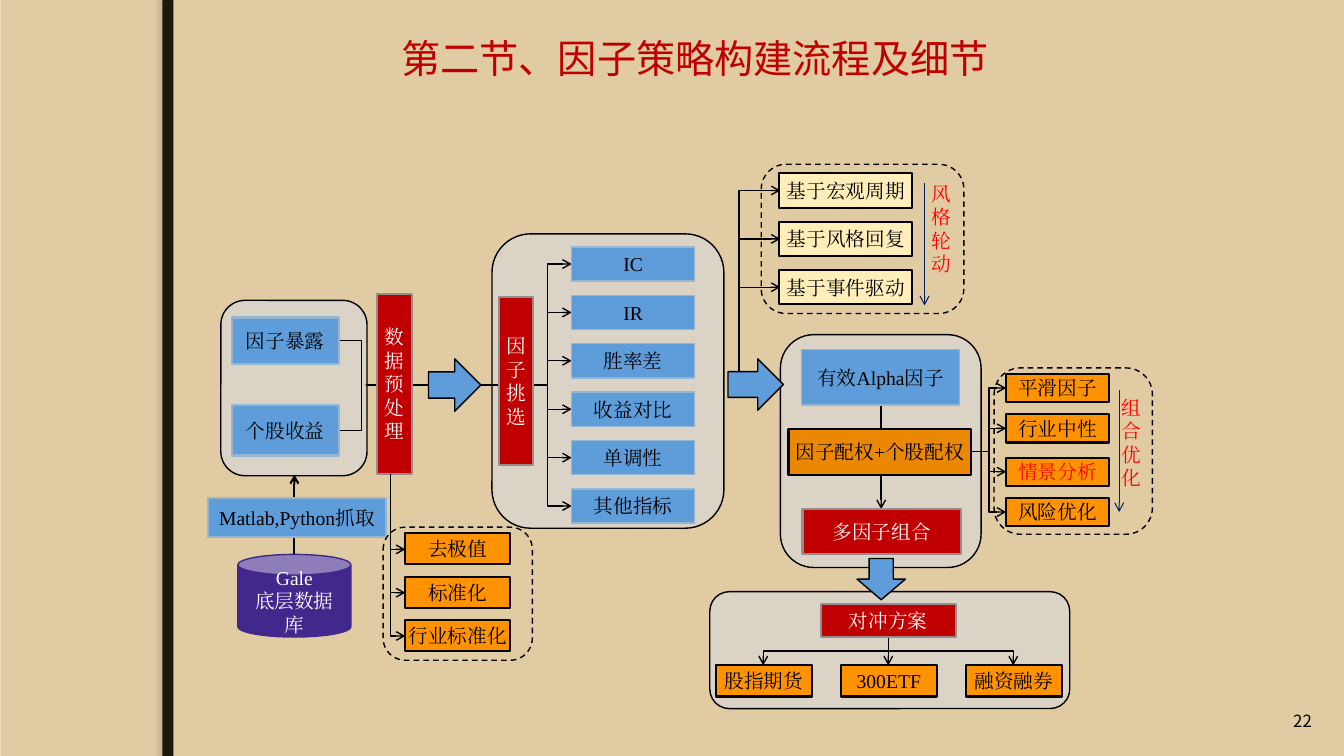
from lxml.etree import SubElement
from pptx import Presentation
from pptx.dml.color import RGBColor
from pptx.enum.dml import MSO_LINE
from pptx.enum.shapes import MSO_CONNECTOR, MSO_SHAPE
from pptx.enum.text import MSO_ANCHOR, MSO_AUTO_SIZE, PP_ALIGN
from pptx.oxml.ns import qn
from pptx.util import Pt

PX = 9144
SERIF, SANS = "Times New Roman", "Noto Sans CJK SC"
BLACK = RGBColor(0, 0, 0)
WHITE = RGBColor(255, 255, 255)
RED = RGBColor(255, 0, 0)
CRIMSON = RGBColor(0xC0, 0, 0)
NAVY = RGBColor(0, 0x20, 0x60)
BLUE = RGBColor(0x5E, 0x9C, 0xDA)
PALE_BLUE = RGBColor(0x94, 0xB6, 0xD2)
ORANGE = RGBColor(0xFF, 0x92, 0x01)
AMBER = RGBColor(0xEB, 0x88, 0x03)
CREAM = RGBColor(0xFF, 0xEE, 0xB9)
GREY = RGBColor(0xD9, 0xD9, 0xD9)
TAUPE = RGBColor(0x96, 0x8C, 0x8C)
PURPLE = RGBColor(0x42, 0x28, 0x8C)
SAND = RGBColor(0xE0, 0xCB, 0xA3)
PAPER = RGBColor(0xEB, 0xDD, 0xC3)
DARK = RGBColor(0x20, 0x19, 0x0B)

STEP = {"fill": BLUE, "line": PALE_BLUE, "width": 1.5}
METRIC = {"fill": BLUE, "line": PALE_BLUE}
STAGE = {"fill": CRIMSON, "line": TAUPE, "width": 1.5, "color": WHITE}
OPTION = {"fill": ORANGE, "width": 1.5}
STYLE = {"fill": CREAM, "width": 1.5}


def emu(*lengths):
    """Turn px lengths into EMU."""
    return [round(n * PX) for n in lengths]


def write(tf, text, size=14, color=BLACK, font=SERIF, align=PP_ALIGN.CENTER, inset=0,
          anchor=MSO_ANCHOR.MIDDLE):
    """Fill a text frame, one paragraph per line of text."""
    frame = {"word_wrap": True, "auto_size": MSO_AUTO_SIZE.NONE, "vertical_anchor": anchor}
    if inset is not None:
        frame.update({f"margin_{side}": inset for side in ("left", "right", "top", "bottom")})
    for name, value in frame.items():
        setattr(tf, name, value)
    for i, line in enumerate(text.split("\n")):
        p = tf.add_paragraph() if i else tf.paragraphs[0]
        p.alignment = align
        r = p.add_run()
        r.text = line
        for name, value in {"size": Pt(size), "name": font, "bold": False}.items():
            setattr(r.font, name, value)
        r.font.color.rgb = color
        SubElement(r.font._element, qn("a:ea"), typeface=font)


def shape(s, x, y, w, h, text="", kind=MSO_SHAPE.RECTANGLE, fill=None, line=BLACK, width=1,
          color=BLACK, inset=0):
    """Draw a preset shape, with text if any."""
    sp = s.shapes.add_shape(kind, *emu(x, y, w, h))
    sp.shadow.inherit = False
    if fill is None:
        sp.fill.background()
    else:
        sp.fill.solid()
        sp.fill.fore_color.rgb = fill
    if line is None:
        sp.line.fill.background()
    else:
        sp.line.color.rgb = line
        sp.line.width = Pt(width)
    if text:
        write(sp.text_frame, text, color=color, inset=inset)
    return sp


def panel(s, x, y, w, h):
    """Draw a translucent grey rounded panel."""
    sp = shape(s, x, y, w, h, kind=MSO_SHAPE.ROUNDED_RECTANGLE, fill=GREY)
    rgb = sp._element.spPr.find(qn("a:solidFill"))[0]
    SubElement(rgb, qn("a:alpha"), val="64000")


def dashed(s, x, y, w, h):
    """Draw a dashed rounded frame."""
    sp = shape(s, x, y, w, h, kind=MSO_SHAPE.ROUNDED_RECTANGLE)
    sp.line.dash_style = MSO_LINE.DASH


def label(s, x, y, w, h, text):
    """Place a narrow red label that wraps to one character a line."""
    tb = s.shapes.add_textbox(*emu(x, y, w, h))
    write(tb.text_frame, text, color=RED)


def link(s, x0, y0, x1, y1, bend=None, color=BLACK, width=1, head=True):
    """Draw a straight connector, or an elbow that turns at x = bend."""
    kind = MSO_CONNECTOR.STRAIGHT if bend is None else MSO_CONNECTOR.ELBOW
    c = s.shapes.add_connector(kind, *emu(x0, y0, x1, y1))
    c.line.color.rgb = color
    c.line.width = Pt(width)
    spPr = c._element.spPr
    if head:
        SubElement(c.line._get_or_add_ln(), qn("a:tailEnd"), type="arrow")
    SubElement(spPr, qn("a:effectLst"))
    if bend is not None:
        turn = round((bend - x0) / (x1 - x0) * 100000)
        avLst = spPr.find(qn("a:prstGeom")).get_or_add_avLst()
        SubElement(avLst, qn("a:gd"), name="adj1", fmla=f"val {turn}")
    return c


def drop(s, x0, y0, x1, y1):
    """Draw an elbow that leaves and arrives vertically."""
    cx, cy, dx, dy = (x0 + x1) / 2, (y0 + y1) / 2, (x1 - x0) / 2, (y1 - y0) / 2
    c = link(s, cx - dy, cy + dx, cx + dy, cy - dx, bend=cx)
    c._element.spPr.find(qn("a:xfrm")).set("rot", "5400000")


def backdrop(s, x, y, w, h):
    """Paint the sand ground and the dark vertical bar."""
    s.background.fill.solid()
    s.background.fill.fore_color.rgb = PAPER
    shape(s, x + 1, y, w, h, fill=SAND, line=None)
    bar = shape(s, x + 161, y, 11, h, fill=DARK, line=None)
    effects = bar._element.spPr.find(qn("a:effectLst"))
    shadow = SubElement(effects, qn("a:outerShdw"), blurRad="38100", dist="38100", dir="10800000")
    rgb = SubElement(shadow, qn("a:srgbClr"), val="766E60")
    SubElement(rgb, qn("a:alpha"), val="25000")


def heading(s, x, y, w, h):
    """Move and format the title placeholder."""
    sp = s.shapes.title
    for name, value in zip(("left", "top", "width", "height"), emu(x, y, w, h)):
        setattr(sp, name, value)
    write(sp.text_frame, "第二节、因子策略构建流程及细节", 28, CRIMSON, SANS, PP_ALIGN.LEFT, None,
          MSO_ANCHOR.TOP)
    p = sp.text_frame.paragraphs[0]
    p.line_spacing = 1.5
    p._p.get_or_add_pPr().set("indent", str(40 * PX))


def selection(s, x, y, w, h):
    """Factor selection panel with its six measures."""
    panel(s, x, y, w, h)
    for i, name in enumerate(("IC", "IR", "胜率差", "收益对比", "单调性", "其他指标")):
        top = y + 13 + 48 * i
        link(s, x - 126, y + 150, x + 79, top + 17, bend=x + 55)
        shape(s, x + 79, top, 122, 34, name, **METRIC)
    shape(s, x - 63, y + 124, 52, 52, kind=MSO_SHAPE.RIGHT_ARROW, fill=BLUE)
    shape(s, x + 7, y + 63, 34, 166, "因子挑选", **STAGE)


def preparation(s, x, y, w, h):
    """Data source, factor inputs and preprocessing."""
    panel(s, x, y, w, h)
    link(s, x + 117, y + 40, x + 118, y + 129, bend=x + 140, head=False)
    shape(s, x + 11, y + 17, 106, 46, "因子暴露", **STEP)
    shape(s, x + 11, y + 104, 106, 50, "个股收益", **STEP)
    shape(s, x + 155, y - 6, 35, 178, "数据预处理", **STAGE)
    shape(s, x + 17, y + 252, 112, 82, "Gale\n底层数据库", MSO_SHAPE.CAN, PURPLE, PURPLE,
          color=WHITE, inset=None)
    link(s, x + 73, y + 252, x + 73, y + 173, width=1.5)
    shape(s, x - 13, y + 196, 177, 39, "Matlab,Python抓取", **STEP)


def cleaning(s, x, y, w, h):
    """Preprocessing steps in a dashed frame."""
    for i, name in enumerate(("去极值", "标准化", "行业标准化")):
        top = y + 6 + 43 * i
        link(s, x + 7, y - 53, x + 22, top + 16, bend=x + 7)
        shape(s, x + 22, top, 104, 31, name, **OPTION)
    dashed(s, x, y, w, h)


def rotation(s, x, y, w, h):
    """Style rotation choices in a dashed frame."""
    shape(s, x - 33, y + 193, 55, 51, kind=MSO_SHAPE.RIGHT_ARROW, fill=BLUE)
    for i, name in enumerate(("基于宏观周期", "基于风格回复", "基于事件驱动")):
        top = y + 9 + 48 * i
        link(s, x - 22, y + 206, x + 19, top + 17, bend=x - 22)
        shape(s, x + 18, top, 132, 34, name, **STYLE)
    dashed(s, x, y, w, h)
    label(s, x + 162, y - 15, 33, 158, "风格轮动")
    link(s, x + 162, y + 19, x + 162, y + 140, color=NAVY, width=0.75)


def portfolio(s, x, y, w, h):
    """Multi-factor portfolio panel."""
    panel(s, x, y, w, h)
    link(s, x + 100, y + 70, x + 100, y + 173)
    shape(s, x + 21, y + 15, 157, 55, "有效Alpha因子", **METRIC)
    shape(s, x + 8, y + 94, 181, 45, "因子配权+个股配权", fill=AMBER, width=1.5)
    shape(s, x + 22, y + 173, 157, 45, "多因子组合", **STAGE)


def optimisation(s, x, y, w, h):
    """Portfolio optimisation methods in a dashed frame."""
    methods = (("平滑因子", 6, BLACK), ("行业中性", 46, BLACK), ("情景分析", 89, RED),
               ("风险优化", 129, BLACK))
    for name, top, color in methods:
        link(s, x - 23, y + 83, x + 12, y + top + 14, bend=x - 5)
        shape(s, x + 12, y + top, 102, 28, name, color=color, **OPTION)
    dashed(s, x, y, w, h)
    label(s, x + 119, y - 10, 35, 168, "组合优化")
    link(s, x + 124, y + 22, x + 124, y + 143, color=NAVY, width=0.75)


def hedging(s, x, y, w, h):
    """Hedging plan with its three instruments."""
    panel(s, x, y, w, h)
    shape(s, x + 146, y - 33, 48, 41, kind=MSO_SHAPE.DOWN_ARROW, fill=BLUE)
    hub = x + 177
    for i, name in enumerate(("股指期货", "300ETF", "融资融券")):
        mid = hub + 124 * (i - 1)
        branch = link if mid == hub else drop
        branch(s, hub, y + 45, mid, y + 73)
        shape(s, mid - 47, y + 73, 95, 31, name, **OPTION)
    shape(s, x + 110, y + 12, 134, 33, "对冲方案", **STAGE)


def page_number(s, x, y, w, h):
    """Place the page number."""
    tb = s.shapes.add_textbox(*emu(x, y, w, h))
    write(tb.text_frame, "22", 12, BLACK, SANS, PP_ALIGN.RIGHT, None, MSO_ANCHOR.BOTTOM)


def main():
    """Build the slide and save it."""
    prs = Presentation()
    prs.slide_width, prs.slide_height = emu(1333, 750)
    s = prs.slides.add_slide(prs.slide_layouts[5])
    backdrop(s, 0, 0, 1333, 750)
    selection(s, 488, 232, 230, 292)
    preparation(s, 219, 298, 145, 174)
    cleaning(s, 380, 523, 148, 132)
    portfolio(s, 774, 332, 199, 231)
    rotation(s, 755, 163, 201, 148)
    optimisation(s, 986, 365, 157, 165)
    hedging(s, 704, 587, 357, 116)
    heading(s, 348, 6, 711, 81)
    page_number(s, 1000, 703, 311, 27)
    s.shapes._spTree.append(s.shapes.title._element)
    prs.save("out.pptx")


if __name__ == "__main__":
    main()
